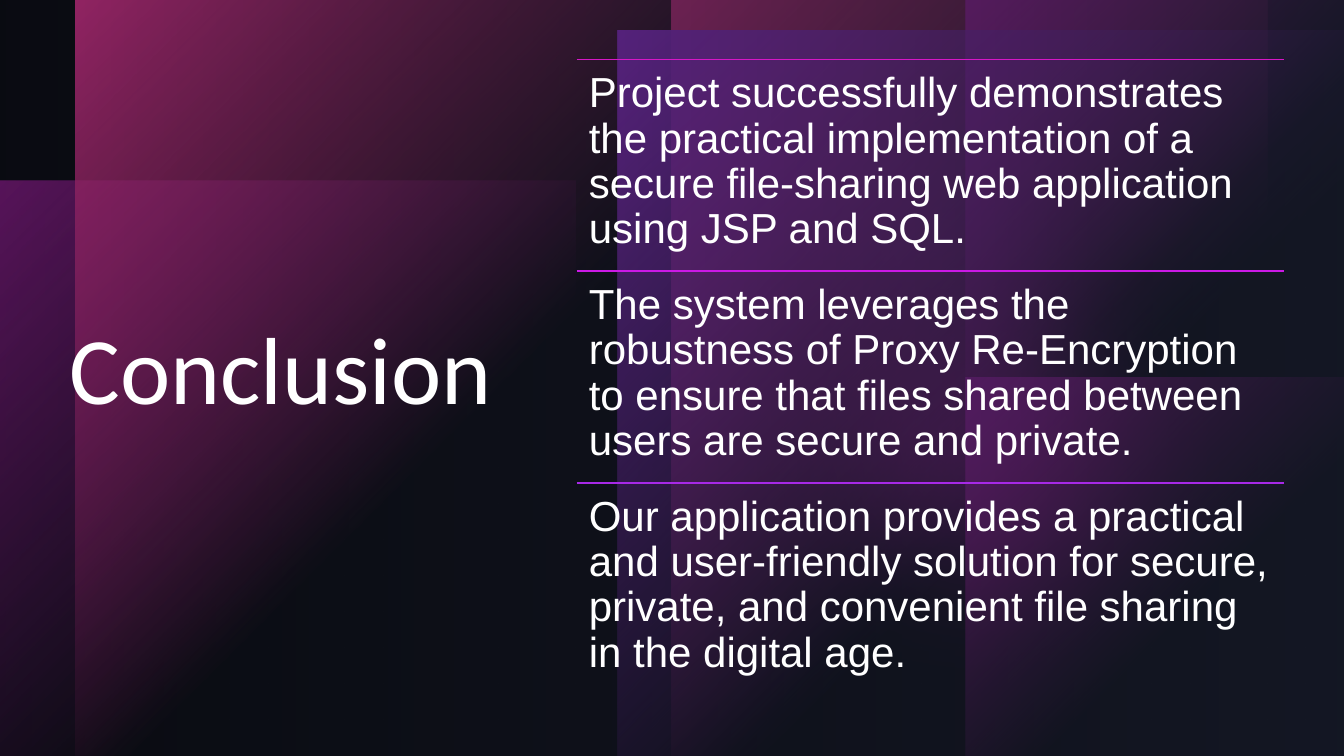
from dataclasses import dataclass

from lxml.etree import SubElement
from pptx import Presentation
from pptx.dml.color import RGBColor
from pptx.enum.shapes import MSO_CONNECTOR, MSO_SHAPE
from pptx.enum.text import MSO_ANCHOR, MSO_AUTO_SIZE, PP_ALIGN
from pptx.oxml import parse_xml
from pptx.oxml.ns import nsdecls, qn
from pptx.util import Inches, Pt


@dataclass(frozen=True)
class Theme:
    black: str = "000000"
    white: str = "FFFFFF"
    pink: str = "E72989"
    magenta: str = "D517C6"
    orchid: str = "CB19E5"
    violet: str = "A729E7"
    navy: str = "1A1E2E"
    title_font: str = "Calibri"
    body_font: str = "Arial"
    title_size: int = 68
    body_size: int = 30


THEME = Theme()
WIDTH, HEIGHT = 13.33, 7.5
CORNER = ('<a:path path="circle">'
          '<a:fillToRect l="0" t="0" r="100000" b="100000"/></a:path>')
ACROSS = '<a:lin ang="0" scaled="0"/>'

# Glowing panels: left, top, width, height, colour, opacity at the corner
LOWER_LEFT_PANEL = (0, 1.79, 5.71, 5.71, THEME.magenta, 60)
PANELS = [
    (6.66, 0, 5.91, 7.5, THEME.pink, 100),
    (0.75, 0, 5.91, 7.5, THEME.pink, 100),
    (9.58, 3.75, 3.75, 3.75, THEME.magenta, 100),
    (9.58, 0, 3.75, 3.75, THEME.magenta, 100),
    (6.13, 0.3, 7.21, 7.21, THEME.violet, 100),
]
# Soft discs: left, top, diameter, colour, opacity
DISCS = [
    (6.98, 0, 4.72, THEME.violet, 96),
    (6.69, 1.35, 6.02, THEME.magenta, 60),
]
# Conclusions: colour of the rule above, text
CONCLUSIONS = [
    (THEME.magenta, "Project successfully demonstrates the practical implementation "
                    "of a secure file-sharing web application using JSP and SQL."),
    (THEME.orchid, "The system leverages the robustness of Proxy Re-Encryption to "
                   "ensure that files shared between users are secure and private."),
    (THEME.violet, "Our application provides a practical and user-friendly solution "
                   "for secure, private, and convenient file sharing in the digital age."),
]


def add_plain_shape(slide, preset, left, top, width, height):
    shape = slide.shapes.add_shape(
        preset, Inches(left), Inches(top), Inches(width), Inches(height))
    shape.shadow.inherit = False
    shape.line.fill.background()
    return shape


def set_gradient(shape, stops, direction):
    """Fill with stops of (position, colour, opacity), all in percent."""
    stop_xml = "".join(
        f'<a:gs pos="{position * 1000}"><a:srgbClr val="{colour}">'
        f'<a:alpha val="{opacity * 1000}"/></a:srgbClr></a:gs>'
        for position, colour, opacity in stops)
    gradient = parse_xml(f'<a:gradFill {nsdecls("a")} rotWithShape="1">'
                         f'<a:gsLst>{stop_xml}</a:gsLst>{direction}</a:gradFill>')
    shape._element.spPr.find(qn("a:prstGeom")).addnext(gradient)


def add_panel(slide, left, top, width, height, colour, opacity):
    panel = add_plain_shape(slide, MSO_SHAPE.RECTANGLE, left, top, width, height)
    set_gradient(panel, [(0, colour, opacity), (60, colour, 0)], CORNER)


def add_disc(slide, left, top, diameter, colour, opacity):
    disc = add_plain_shape(slide, MSO_SHAPE.OVAL, left, top, diameter, diameter)
    disc.fill.solid()
    disc.fill.fore_color.rgb = RGBColor.from_string(colour)
    properties = disc._element.spPr
    colour_element = properties.find(qn("a:solidFill"))[0]
    SubElement(colour_element, qn("a:alpha"), val=str(opacity * 1000))
    effects = properties.find(qn("a:effectLst"))
    SubElement(effects, qn("a:softEdge"), rad=str(Inches(1.39)))


def add_backdrop(slide):
    black = RGBColor.from_string(THEME.black)
    slide.background.fill.solid()
    slide.background.fill.fore_color.rgb = black
    base = add_plain_shape(slide, MSO_SHAPE.RECTANGLE, 0, 0, WIDTH, HEIGHT)
    base.fill.solid()
    base.fill.fore_color.rgb = black
    add_panel(slide, *LOWER_LEFT_PANEL)
    for disc in DISCS:
        add_disc(slide, *disc)
    for panel in PANELS:
        add_panel(slide, *panel)
    # Veil that darkens towards the right
    veil = add_plain_shape(slide, MSO_SHAPE.RECTANGLE, 0, 0, WIDTH, HEIGHT)
    set_gradient(veil, [(0, THEME.navy, 40), (100, THEME.navy, 80)], ACROSS)


def format_text(text_frame, text, font_name, size):
    text_frame.text = text
    text_frame.word_wrap = True
    text_frame.auto_size = MSO_AUTO_SIZE.NONE
    text_frame.vertical_anchor = MSO_ANCHOR.TOP
    paragraph = text_frame.paragraphs[0]
    paragraph.alignment = PP_ALIGN.LEFT
    paragraph.line_spacing = 0.9
    font = paragraph.runs[0].font
    font.name = font_name
    font.size = Pt(size)
    font.color.rgb = RGBColor.from_string(THEME.white)


def place_title(slide, text, left, top, width, height):
    title = slide.shapes.title
    title.left, title.top = Inches(left), Inches(top)
    title.width, title.height = Inches(width), Inches(height)
    format_text(title.text_frame, text, THEME.title_font, THEME.title_size)
    # Bring the title in front of the backdrop
    title._element.getparent().append(title._element)


def add_conclusions(slide, left, top, width, height):
    row_height = height / len(CONCLUSIONS)
    for row, (colour, text) in enumerate(CONCLUSIONS):
        row_top = top + row * row_height
        # Rule above the row
        rule = slide.shapes.add_connector(
            MSO_CONNECTOR.STRAIGHT, Inches(left), Inches(row_top),
            Inches(left + width), Inches(row_top))
        rule.line.color.rgb = RGBColor.from_string(colour)
        rule.line.width = Pt(1)
        SubElement(rule._element.spPr, qn("a:effectLst"))
        # Text of the row
        text_box = slide.shapes.add_textbox(
            Inches(left), Inches(row_top), Inches(width), Inches(row_height))
        text_frame = text_box.text_frame
        text_frame.margin_left = text_frame.margin_right = Inches(0.12)
        text_frame.margin_top = text_frame.margin_bottom = Inches(0.12)
        format_text(text_frame, text, THEME.body_font, THEME.body_size)


def main():
    presentation = Presentation()
    presentation.slide_width = Inches(WIDTH)
    presentation.slide_height = Inches(HEIGHT)
    slide = presentation.slides.add_slide(presentation.slide_layouts[5])
    add_backdrop(slide)
    place_title(slide, "Conclusion", 0.59, 3.15, 4.92, 3.74)
    add_conclusions(slide, 5.72, 0.59, 7.01, 6.3)
    presentation.save("out.pptx")


if __name__ == "__main__":
    main()
